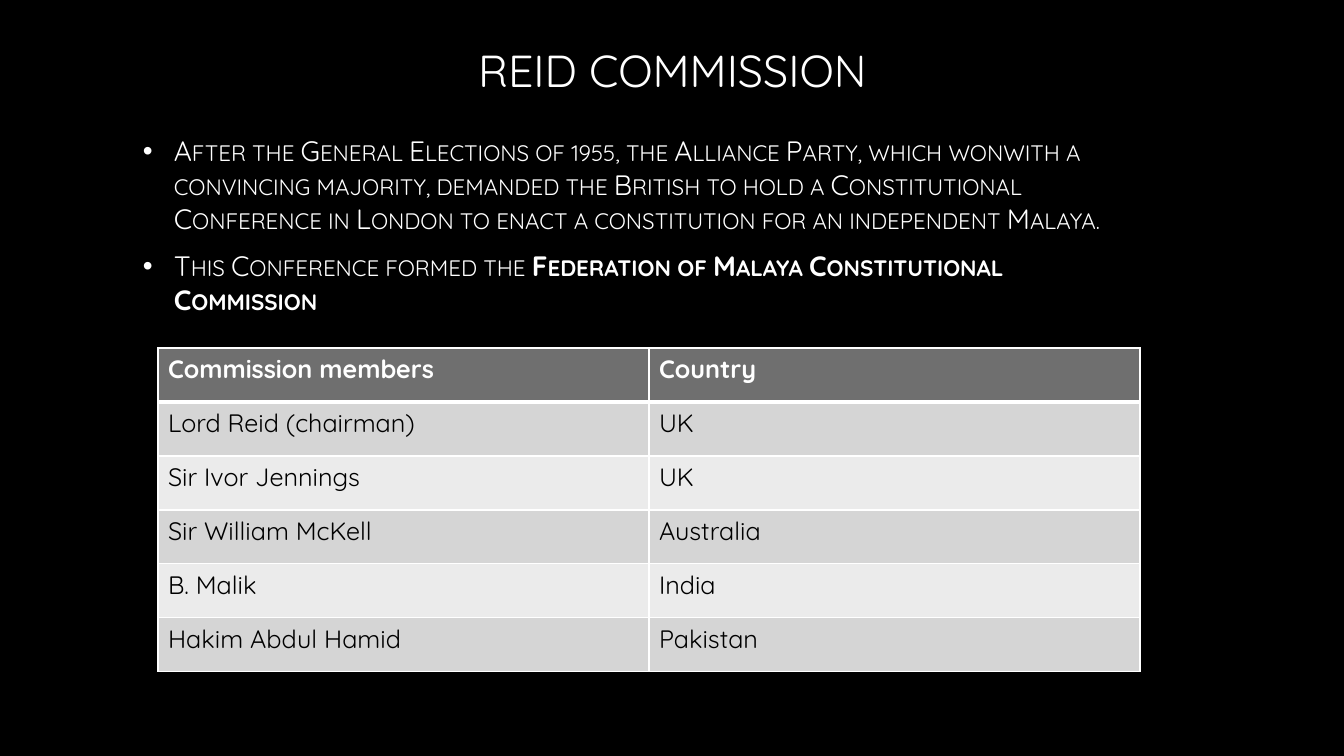
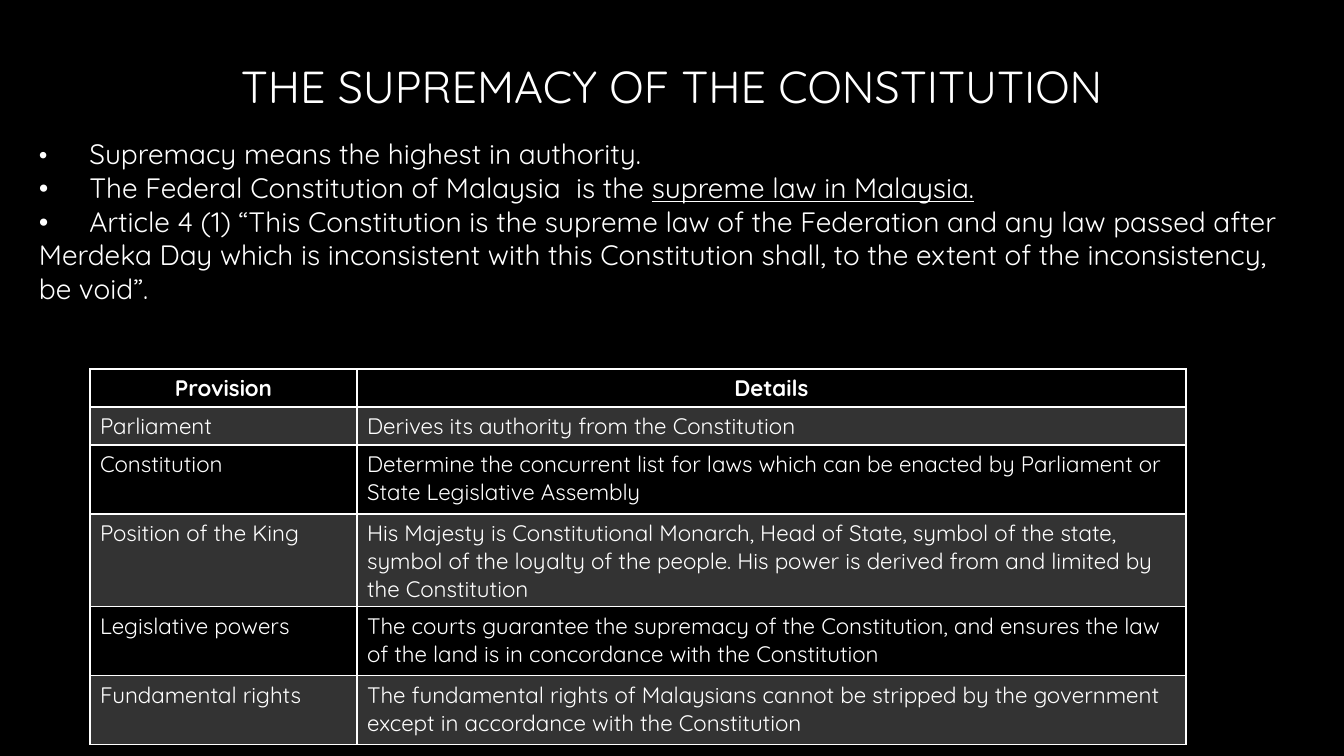
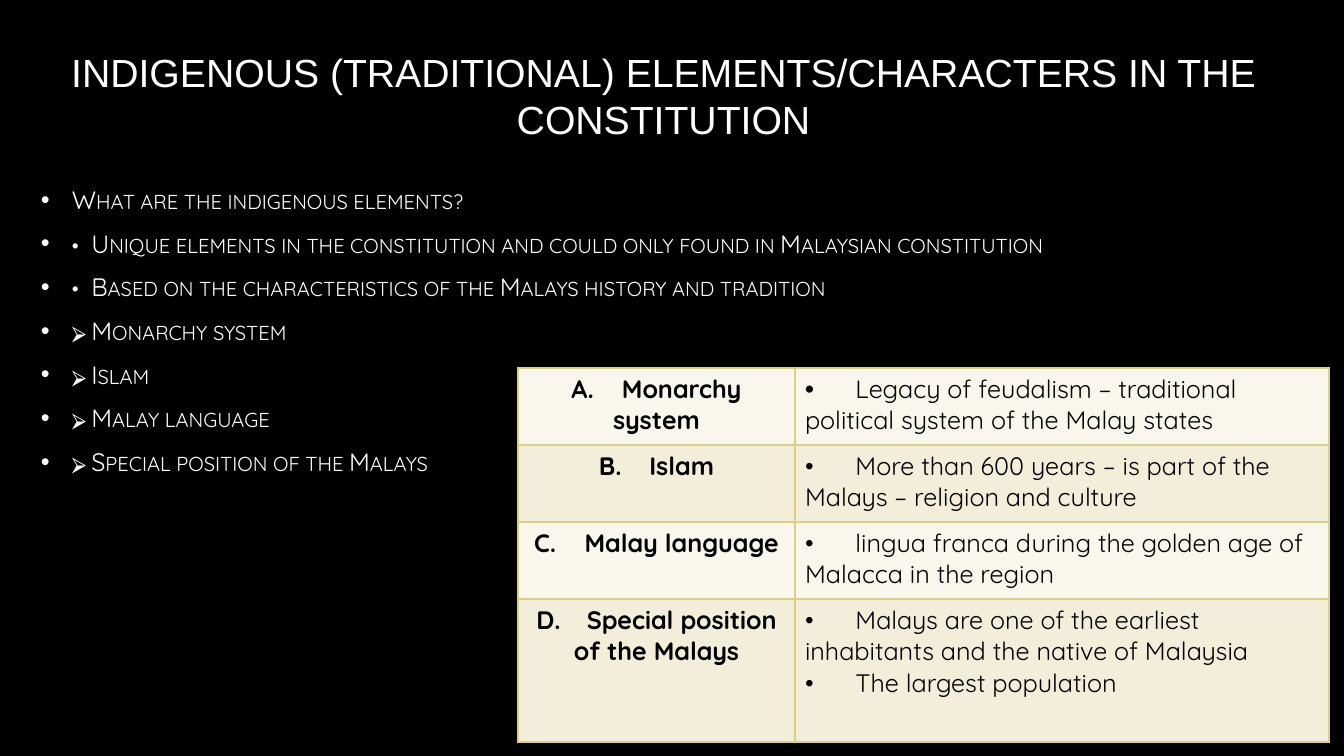
from lxml import etree
from pptx import Presentation
from pptx.dml.color import RGBColor
from pptx.enum.text import MSO_ANCHOR, PP_ALIGN
from pptx.oxml.ns import qn
from pptx.util import Emu, Pt

CENTER, LEFT = PP_ALIGN.CENTER, PP_ALIGN.LEFT
TOP, MIDDLE = MSO_ANCHOR.TOP, MSO_ANCHOR.MIDDLE
PX = 914400 / 100.8  # EMU in one px
WIDTH, HEIGHT = 1344, 756
HANG = 31

COLORS = {
    "black": "000000", "white": "FFFFFF", "header": "6F6F6F",
    "gray": "D5D5D5", "pale": "EBEBEB", "charcoal": "333333",
    "gold": "DCD084", "ivory": "F9F7ED", "sand": "F2EED9",
}
BASE = {"name": "Quicksand", "size": 20, "color": "white", "bold": False}
TITLE = {**BASE, "size": 32}
BOLD = {"bold": True}

# Content: a paragraph is a string or a list of (text, format) spans
SLIDES = [
    {
        "title": {"at": (87, 38, 1171, 64), "text": "REID COMMISSION", "format": TITLE},
        "body": {
            "at": (133, 120, 1023, 210), "anchor": MIDDLE, "bullets": True,
            "format": {**BASE, "caps": "small"},
            "paras": [
                "After the General Elections of 1955, the Alliance Party, which wonwith a "
                "convincing majority, demanded the British to hold a Constitutional Conference "
                "in London to enact a constitution for an independent Malaya.",
                [("This Conference formed the ", {}),
                 ("Federation of Malaya Constitutional Commission", BOLD)],
            ],
        },
        "table": {
            "at": (158, 348), "columns": (491, 491), "rows": (54,) * 6,
            "format": {**BASE, "size": 18, "color": "black"},
            "header": {"bold": True, "color": "white"}, "header_fill": "header",
            "header_align": LEFT, "header_line": 3,
            "bands": ("gray", "pale"), "line": "white",
            "cells": [
                ("Commission members", "Country"),
                ("Lord Reid (chairman)", "UK"),
                ("Sir Ivor Jennings", "UK"),
                ("Sir William McKell", "Australia"),
                ("B. Malik", "India"),
                ("Hakim Abdul Hamid", "Pakistan"),
            ],
        },
    },
    {
        "title": {"at": (126, 38, 1092, 95), "text": "THE SUPREMACY OF THE CONSTITUTION",
                  "format": TITLE},
        "body": {
            "at": (29, 132, 1278, 179), "anchor": TOP, "bullets": False, "format": BASE,
            "paras": [
                [("•\t", {"size": 18}), ("Supremacy means the highest in authority.", {})],
                [("•\tThe Federal Constitution of Malaysia  is the ", {}),
                 ("supreme law in Malaysia.", {"underline": True})],
                "•\tArticle 4 (1) “This Constitution is the supreme law of the Federation and "
                "any law passed after Merdeka Day which is inconsistent with this Constitution "
                "shall, to the extent of the inconsistency, be void”.",
            ],
        },
        "table": {
            "at": (90, 369), "columns": (267, 829), "rows": (38, 38, 69, 93, 69, 69),
            "format": {**BASE, "size": 16},
            "header": BOLD, "header_fill": "black",
            "header_align": CENTER, "header_line": 1,
            "bands": ("charcoal", "black"), "line": "white",
            "cells": [
                ("Provision", "Details"),
                ("Parliament", "Derives its authority from the Constitution"),
                ("Constitution",
                 "Determine the concurrent list for laws which can be enacted by Parliament or "
                 "State Legislative Assembly"),
                ("Position of the King",
                 "His Majesty is Constitutional Monarch, Head of State, symbol of the state, "
                 "symbol of the loyalty of the people. His power is derived from and limited by "
                 "the Constitution"),
                ("Legislative powers",
                 "The courts guarantee the supremacy of the Constitution, and ensures the law "
                 "of the land is in concordance with the Constitution"),
                ("Fundamental rights",
                 "The fundamental rights of Malaysians cannot be stripped by the government "
                 "except in accordance with the Constitution"),
            ],
        },
    },
    {
        "title": {"at": (23, 26, 1281, 139),
                  "text": "INDIGENOUS (TRADITIONAL) ELEMENTS/CHARACTERS IN THE CONSTITUTION",
                  "format": {**TITLE, "name": "Arial", "size": 28}},
        "body": {
            "at": (31, 81, 1289, 499), "anchor": MIDDLE, "bullets": True,
            "format": {**BASE, "size": 18, "caps": "small"},
            "paras": [
                "What are the indigenous elements?",
                "•\tUnique elements in the constitution and could only found in Malaysian "
                "constitution",
                "•\tBased on the characteristics of the Malays history and tradition",
                "⮚\tMonarchy system",
                "⮚\tIslam",
                "⮚\tMalay language",
                "⮚\tSpecial position of the Malays",
            ],
        },
        "table": {
            "at": (518, 368), "columns": (277, 534), "rows": (77, 77, 77, 143),
            "format": {**BASE, "size": 18, "color": "black"},
            "first_column": BOLD, "bands": ("ivory", "sand"), "line": "gold",
            "cells": [
                ("A.\tMonarchy system",
                 [[("•\t", BOLD),
                   ("Legacy of feudalism – traditional political system of the Malay states", {})]]),
                ("B.\tIslam",
                 "•\tMore than 600 years – is part of the Malays – religion and culture"),
                ("C.\tMalay language",
                 "•\tlingua franca during the golden age of Malacca in the region"),
                ("D.\tSpecial position of the Malays",
                 ["•\tMalays are one of the earliest inhabitants and the native of Malaysia",
                  "•\tThe largest population"]),
            ],
        },
    },
]


def px(value):
    return Emu(round(value * PX))


def rgb(name):
    return RGBColor.from_string(COLORS[name])


def format_span(span, values):
    for key, value in values.items():
        if key == "color":
            span.font.color.rgb = rgb(value)
        elif key == "caps":
            span.font._element.set("cap", value)
        else:
            setattr(span.font, key, Pt(value) if key == "size" else value)


def add_bullet(para):
    props = para._p.get_or_add_pPr()
    props.set("marL", str(px(HANG)))
    props.set("indent", str(-px(HANG)))
    color = etree.SubElement(props, qn("a:buClr"))
    etree.SubElement(color, qn("a:srgbClr"), val=COLORS["white"])
    etree.SubElement(props, qn("a:buFont"), typeface="Arial")
    etree.SubElement(props, qn("a:buChar"), char="•")


def write(frame, paras, values, align=LEFT, bullets=False):
    for index, content in enumerate(paras):
        para = frame.add_paragraph() if index else frame.paragraphs[0]
        para.alignment = align
        if bullets:
            para.space_after = Pt(6)
            if index:
                para.space_before = Pt(values["size"] * 0.2)
            add_bullet(para)
        for text, changes in [(content, {})] if isinstance(content, str) else content:
            span = para.add_run()
            span.text = text
            format_span(span, {**values, **changes})


def add_text(page, at, anchor, paras, values, **options):
    frame = page.shapes.add_textbox(*map(px, at)).text_frame
    frame.word_wrap = True
    frame.vertical_anchor = anchor
    write(frame, paras, values, **options)


def set_borders(cell, color, widths):
    props = cell._tc.get_or_add_tcPr()
    for index, (side, width) in enumerate(zip("LRTB", widths)):
        line = etree.Element(qn(f"a:ln{side}"), w=str(Pt(width)))
        fill = etree.SubElement(line, qn("a:solidFill"))
        etree.SubElement(fill, qn("a:srgbClr"), val=COLORS[color])
        props.insert(index, line)


def add_table(page, data):
    columns, rows = data["columns"], data["rows"]
    area = (*data["at"], sum(columns), sum(rows))
    table = page.shapes.add_table(len(rows), len(columns), *map(px, area)).table
    table.first_row = table.horz_banding = False
    for column, width in zip(table.columns, columns):
        column.width = px(width)
    for row, height in zip(table.rows, rows):
        row.height = px(height)

    has_header = "header" in data
    header_line = data.get("header_line", 1)
    for r, contents in enumerate(data["cells"]):
        is_header = has_header and r == 0
        for c, content in enumerate(contents):
            cell = table.cell(r, c)
            values, align = data["format"], LEFT
            fill = data["bands"][(r - has_header) % 2]
            if is_header:
                values = {**values, **data["header"]}
                align, fill = data["header_align"], data["header_fill"]
            elif c == 0 and "first_column" in data:
                values, align = {**values, **data["first_column"]}, CENTER
            cell.fill.solid()
            cell.fill.fore_color.rgb = rgb(fill)
            above = header_line if has_header and r == 1 else 1
            below = header_line if is_header else 1
            set_borders(cell, data["line"], (1, 1, above, below))
            paras = [content] if isinstance(content, str) else content
            write(cell.text_frame, paras, values, align)


def main():
    deck = Presentation()
    deck.slide_width, deck.slide_height = px(WIDTH), px(HEIGHT)
    # Shared black background
    backdrop = deck.slide_master.background.fill
    backdrop.solid()
    backdrop.fore_color.rgb = rgb("black")
    for content in SLIDES:
        page = deck.slides.add_slide(deck.slide_layouts[6])
        title, body = content["title"], content["body"]
        add_text(page, title["at"], MIDDLE, [title["text"]], title["format"], align=CENTER)
        add_text(page, body["at"], body["anchor"], body["paras"], body["format"],
                 bullets=body["bullets"])
        add_table(page, content["table"])
    deck.save("out.pptx")


if __name__ == "__main__":
    main()
